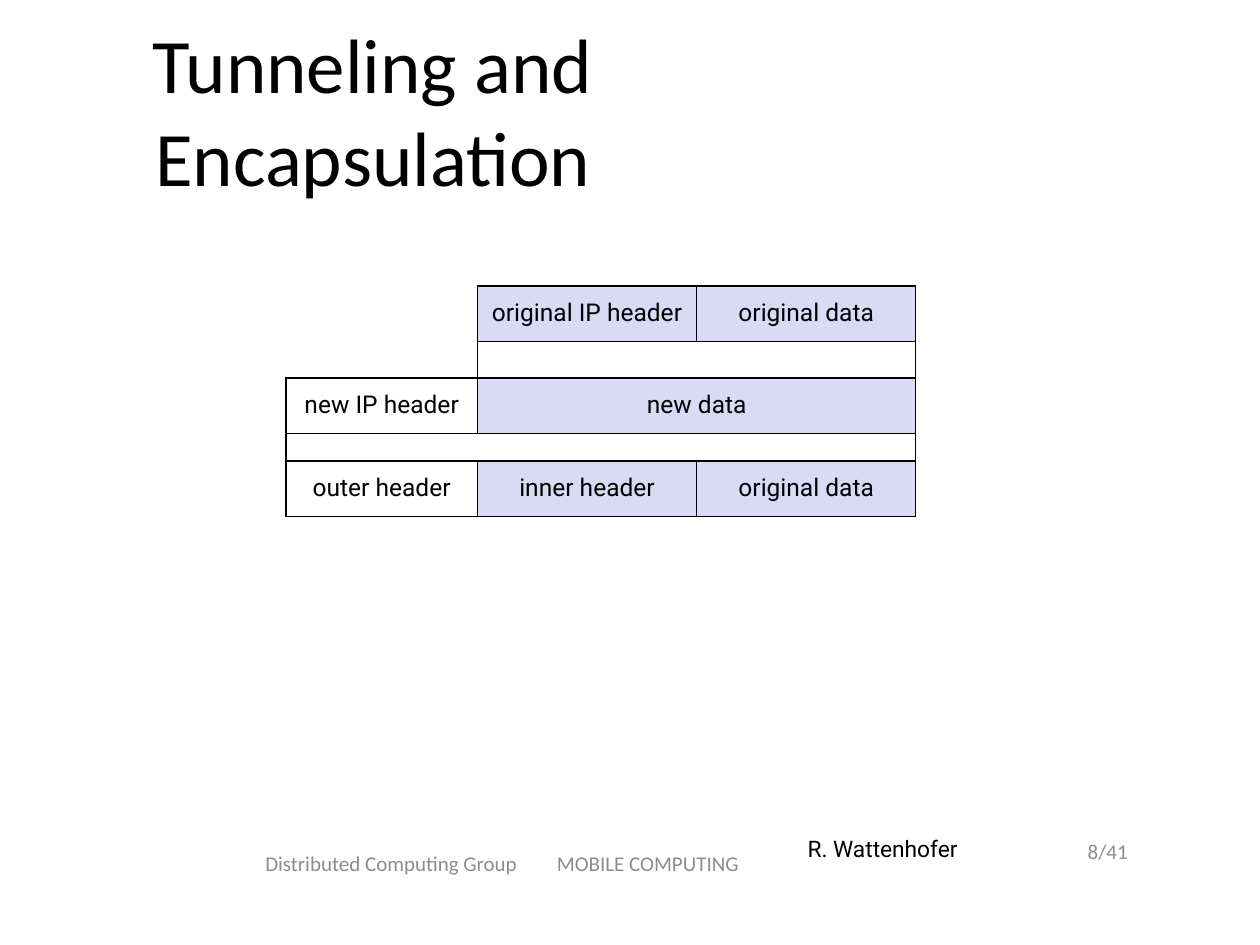
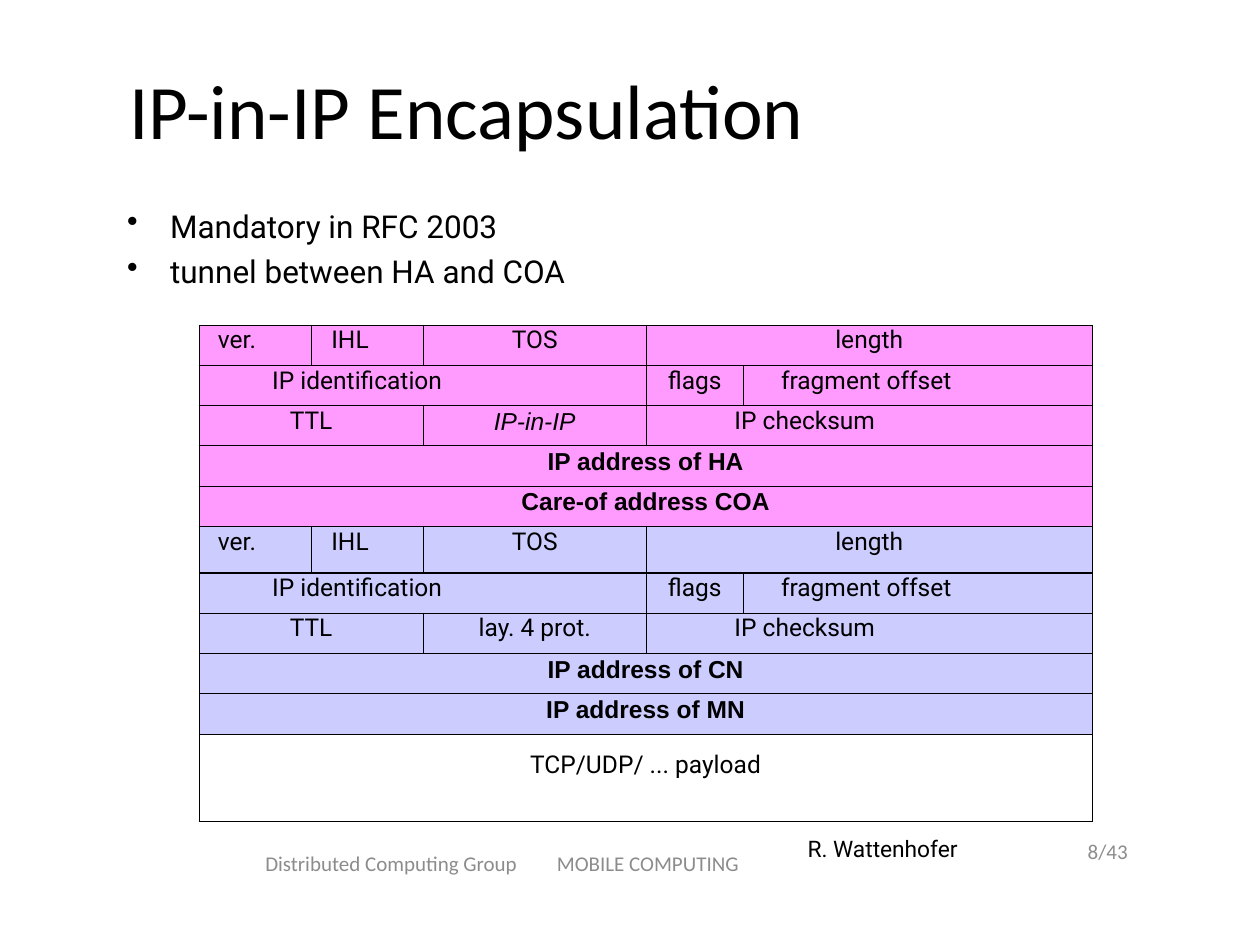
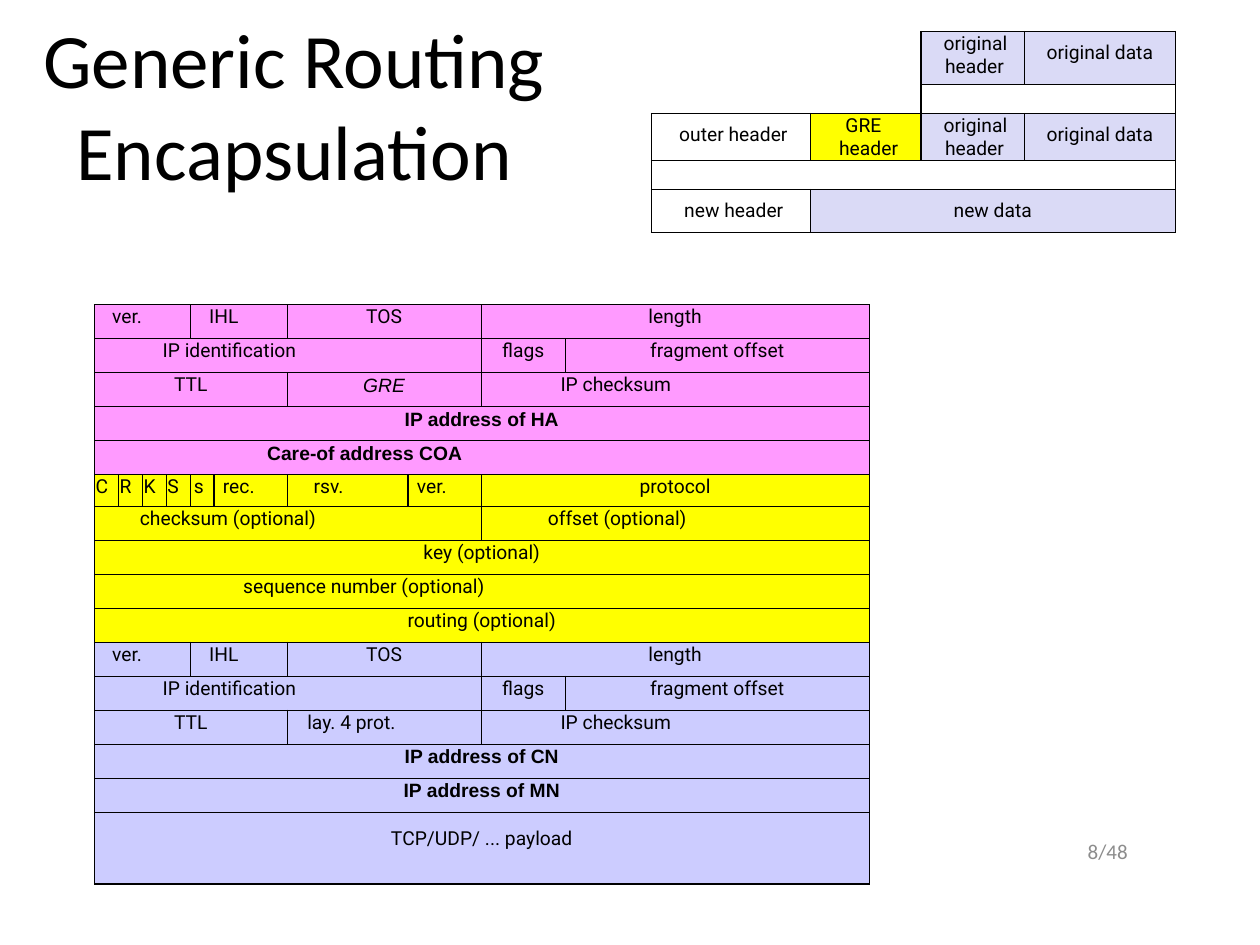
from pptx import Presentation
from pptx.dml.color import RGBColor
from pptx.enum import text as t
from pptx.oxml import parse_xml
from pptx.oxml.ns import nsdecls
from pptx.util import Inches, Pt

BLACK = RGBColor(0, 0, 0)
GREY = RGBColor(0x8C, 0x8C, 0x8C)
PALE = RGBColor(0xDA, 0xDA, 0xF6)
PINK = RGBColor(0xFF, 0x9A, 0xFF)
LILAC = RGBColor(0xCC, 0xCC, 0xFF)
YELLOW = RGBColor(0xFF, 0xFF, 0)
LEFT, CENTER, RIGHT = t.PP_ALIGN.LEFT, t.PP_ALIGN.CENTER, t.PP_ALIGN.RIGHT
TOP, MIDDLE = t.MSO_ANCHOR.TOP, t.MSO_ANCHOR.MIDDLE
NO_STYLE = "{2D5ABB26-0587-4C30-8999-92F81FD0307C}"
BORDER = ('<a:ln{} {} w="9525"><a:solidFill><a:srgbClr val="000000"/>'
          '</a:solidFill></a:ln{}>')

TITLE = {"name": "Calibri", "size": Pt(44)}
SMALL = {"name": "Calibri", "size": Pt(12)}
AUTHOR = {"name": "Roboto", "size": Pt(13)}


def write(tf, text, font, align=LEFT, line=None, colour=BLACK, indents=()):
    """Write one paragraph per line of text; indents are in inches."""
    for i, part in enumerate(text.split("\n")):
        p = tf.add_paragraph() if i else tf.paragraphs[0]
        p.alignment = align
        if line:
            p.line_spacing = Pt(line)
        if indents:
            p._p.get_or_add_pPr().set("marL", str(Inches(indents[i])))
        r = p.add_run()
        r.text = part
        r.font.color.rgb = colour
        for key, value in font.items():
            setattr(r.font, key, value)


def add_grid(s, left, top, widths, heights, rows, size, line, inset=0):
    """Add a table; a cell is (text, columns spanned, fill, options)."""
    tbl = s.shapes.add_table(len(heights), len(widths), Inches(left), Inches(top),
                             Inches(sum(widths)), Inches(sum(heights))).table
    tbl._tbl.tblPr[0].text = NO_STYLE
    tbl.first_row = tbl.horz_banding = False
    for col, width in zip(tbl.columns, widths):
        col.width = Inches(width)
    for row, height in zip(tbl.rows, heights):
        row.height = Inches(height)
    for y, row in enumerate(rows):
        x = 0
        for text, span, fill, opts in row:
            while tbl.cell(y, x).is_spanned:
                x += 1
            cell = tbl.cell(y, x)
            last_row = y + opts.get("rows", 1) - 1
            if span > 1 or last_row > y:
                cell.merge(tbl.cell(last_row, x + span - 1))
            for i in range(span if opts.get("border", True) else 0):
                sides = "LRTB" if i == 0 else "RTB" if i == span - 1 else "TB"
                tc_pr = tbl.cell(y, x + i)._tc.get_or_add_tcPr()
                for side in sides:
                    tc_pr.append(parse_xml(BORDER.format(side, nsdecls("a"), side)))
            if fill is None:
                cell.fill.background()
            else:
                cell.fill.solid()
                cell.fill.fore_color.rgb = fill
            cell.margin_left = cell.margin_right = cell.margin_bottom = 0
            cell.margin_top = 0
            if text:
                drop = 0 if "\n" in text else opts.get("top", inset)
                cell.margin_top = Inches(drop)
                font = {"name": "Roboto", "size": Pt(size)} | opts.get("font", {})
                indents = opts.get("indents", ())
                write(cell.text_frame, text, font, LEFT if indents else CENTER,
                      None if drop else line, indents=indents)
            else:
                end = cell.text_frame.paragraphs[0]._p.get_or_add_endParaRPr()
                end.set("sz", "800")
            x += span


prs = Presentation()
prs.slide_width, prs.slide_height = Inches(10), Inches(7.5)
tunnel, ip_in_ip, gre = [prs.slides.add_slide(prs.slide_layouts[6]) for _ in range(3)]

# Titles, page numbers and footers
boxes = []
for s, box, title, number in (
        (tunnel, (0.99, 0.12, 3.94, 1.49), "Tunneling and Encapsulation", "8/41"),
        (ip_in_ip, (0.99, 0.49, 5.43, 0.75), "IP-in-IP Encapsulation", "8/43"),
        (gre, (0, 0.08, 4.67, 1.49), "Generic Routing Encapsulation", "8/48")):
    boxes += [(s, box, title, TITLE, CENTER, MIDDLE, None, BLACK),
              (s, (8.56, 6.64, 0.39, 0.22), number, SMALL, RIGHT, MIDDLE, 14.8, GREY)]
for s in (tunnel, ip_in_ip):
    boxes += [
        (s, (1.95, 6.64, 2.31, 0.42), "Distributed Computing Group", SMALL, CENTER,
         MIDDLE, 14.8, GREY),
        (s, (4.42, 6.64, 1.82, 0.42), "MOBILE COMPUTING", SMALL, LEFT, MIDDLE, 14.8, GREY),
        (s, (6.41, 6.64, 1.21, 0.22), "R. Wattenhofer", AUTHOR, LEFT, TOP, 14.8, BLACK)]
boxes.append((ip_in_ip, (1, 1.64, 3.61, 0.66),
              "Mandatory in RFC 2003\ntunnel between HA and COA",
              {"name": "Roboto", "size": Pt(18)}, LEFT, TOP, None, BLACK))
for s, box, text, font, align, anchor, line, colour in boxes:
    tf = s.shapes.add_textbox(*map(Inches, box)).text_frame
    tf.word_wrap = True
    tf.vertical_anchor = anchor
    tf.margin_left = tf.margin_right = tf.margin_top = tf.margin_bottom = 0
    write(tf, text, font, align, line, colour)

bullets = tf.paragraphs
bullets[1].space_before = Pt(4.2)
for p in bullets:
    pPr = p._p.get_or_add_pPr()
    pPr.set("marL", str(Inches(0.35)))
    pPr.set("indent", str(Inches(-0.34)))
    pPr.append(parse_xml(f'<a:buChar {nsdecls("a")} char="•"/>'))

# Tunneling: the packet is wrapped step by step
add_grid(tunnel, 2.27, 2.27, [1.52, 1.74, 1.74], [0.44, 0.29, 0.44, 0.22, 0.44], [
    [("", 1, None, {"rows": 2, "border": False}),
     ("original IP header", 1, PALE, {}), ("original data", 1, PALE, {})],
    [("", 2, None, {})],
    [("new IP header", 1, None, {}), ("new data", 2, PALE, {})],
    [("", 3, None, {})],
    [("outer header", 1, None, {}), ("inner header", 1, PALE, {}),
     ("original data", 1, PALE, {})],
], size=14, line=None, inset=0.1)

# IP headers, outer and inner, for both packet layouts
ITALIC = {"font": {"name": "Arial", "italic": True}}
BOLD = {"font": {"name": "Arial", "bold": True}}
headers = {}
for layout, (ver, ihl, tos), (d_ver, d_ihl, d_id, d_sum), fragment, outer, inner, coa in (
        ("IP-in-IP", (1, 1, 1), (0.15, 0.16, 0.58, 0.7), {"indents": [0.3]},
         "IP-in-IP", {}, {}),
        ("GRE", (4, 2, 2), (0.14, 0.15, 0.54, 0.63), {},
         "GRE", {"indents": [0.16]}, {"indents": [1.37]})):
    half = ver + ihl + tos
    for fill, protocol, look, source, target, shift in (
            (PINK, outer, ITALIC, "IP address of HA", "Care-of address COA", coa),
            (LILAC, "lay. 4 prot.", inner, "IP address of CN", "IP address of MN", {})):
        headers[layout, fill] = [
            [("ver.", ver, fill, {"indents": [d_ver]}),
             ("IHL", ihl, fill, {"indents": [d_ihl]}),
             ("TOS", tos, fill, {}), ("length", 2, fill, {})],
            [("IP identification", half, fill, {"indents": [d_id]}),
             ("flags", 1, fill, {}), ("fragment offset", 1, fill, fragment)],
            [("TTL", ver + ihl, fill, {}), (protocol, tos, fill, look),
             ("IP checksum", 2, fill, {"indents": [d_sum]})],
            [(source, half + 2, fill, BOLD)],
            [(target, half + 2, fill, BOLD | shift)]]

payload = "TCP/UDP/ ... payload"
add_grid(ip_in_ip, 1.58, 2.58, [0.89, 0.89, 1.77, 0.77, 2.77],
         [0.32] * 5 + [0.37] + [0.32] * 4 + [0.69],
         headers["IP-in-IP", PINK] + headers["IP-in-IP", LILAC]
         + [[(payload, 5, None, {"top": 0.13})]], size=14, line=17)

# GRE: wrapping steps, then the whole packet
original = [("original\nheader", 1, PALE, {"indents": [0.18, 0.19]}),
            ("original data", 1, PALE, {})]
add_grid(gre, 5.17, 0.25, [1.26, 0.88, 0.82, 1.2], [0.42, 0.23, 0.34, 0.23, 0.34], [
    [("", 2, None, {"rows": 2, "border": False})] + original,
    [("", 2, None, {})],
    [("outer header", 1, None, {"indents": [0.22]}),
     ("GRE\nheader", 1, YELLOW, {"indents": [0.28, 0.23]})] + original,
    [("", 4, None, {})],
    [("new header", 1, None, {"indents": [0.26]}), ("new data", 3, PALE, {})],
], size=11, line=13.4, inset=0.08)

flags = [(text, 1, YELLOW, {"indents": [indent]}) for text, indent in (
    ("C", 0.01), ("R", 0.01), ("K", 0.01), ("S", 0.01), ("s", 0.03),
    ("rec.", 0.07), ("rsv.", 0.21), ("ver.", 0.07))]
gre_rows = [
    flags + [("protocol", 2, YELLOW, {})],
    [("checksum (optional)", 8, YELLOW, {"indents": [0.36]}),
     ("offset (optional)", 2, YELLOW, {"indents": [0.53]})],
    [("key (optional)", 10, YELLOW, {})],
    [("sequence number (optional)", 10, YELLOW, {"indents": [1.18]})],
    [("routing (optional)", 10, YELLOW, {})]]
add_grid(gre, 0.75, 2.42, [0.19] * 5 + [0.58, 0.96, 0.58, 0.67, 2.41],
         [0.27] * 5 + [0.25] + [0.27] * 9 + [0.57],
         headers["GRE", PINK] + gre_rows + headers["GRE", LILAC]
         + [[(payload, 10, LILAC, {"top": 0.12})]], size=11, line=13.5)

prs.save("out.pptx")
